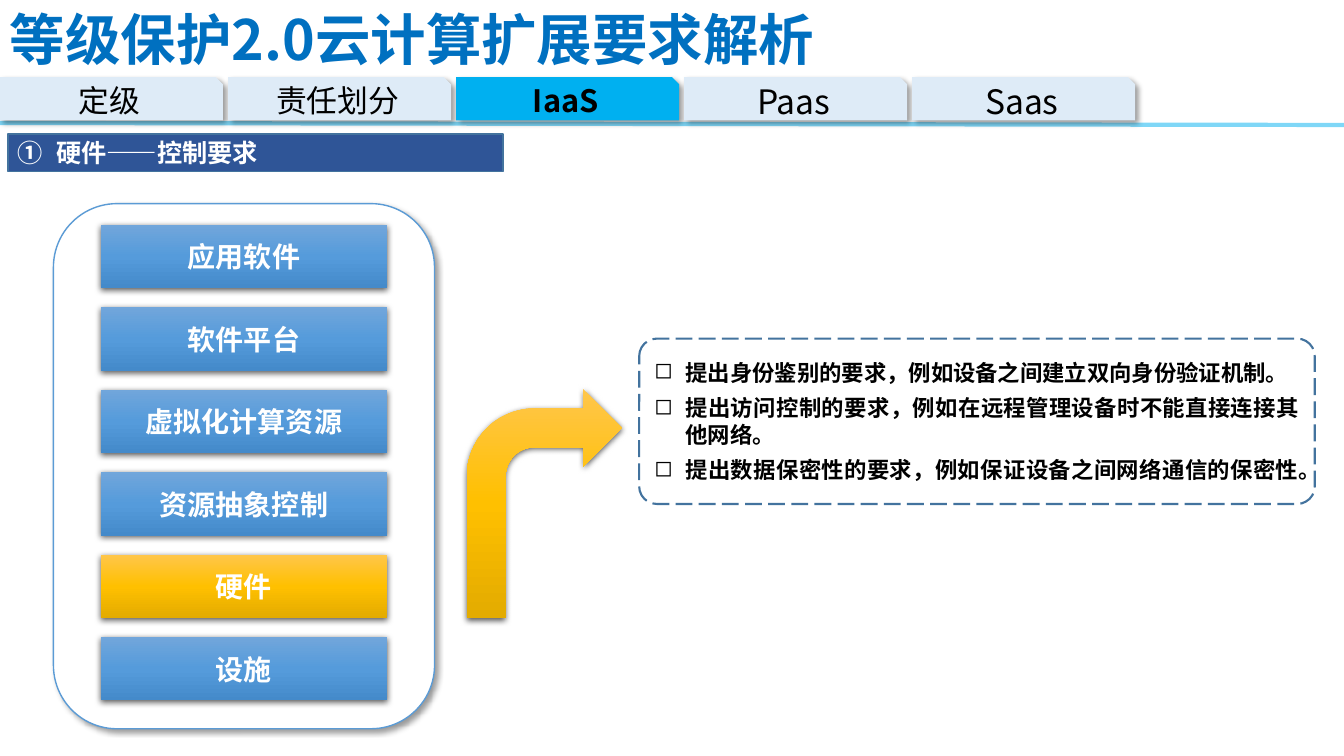
import pptx
import pptx.util
import pptx.dml.color
import pptx.enum.dml
import pptx.enum.shapes
import pptx.enum.text
import lxml.etree

Inch = pptx.util.Inches
Pt = pptx.util.Pt
RGB = pptx.dml.color.RGBColor
Kind = pptx.enum.shapes.MSO_SHAPE
Dash = pptx.enum.dml.MSO_LINE
Align = pptx.enum.text.PP_ALIGN
Anchor = pptx.enum.text.MSO_ANCHOR

WIDTH, HEIGHT = 13.33, 7.5
FONT = "Noto Sans CJK SC"
BLACK = RGB(0x00, 0x00, 0x00)
WHITE = RGB(0xFF, 0xFF, 0xFF)
TITLE = RGB(0x00, 0x70, 0xC0)
CYAN = RGB(0x00, 0xB0, 0xF0)
PALE = RGB(0xDE, 0xEB, 0xF7)
NAVY = RGB(0x2F, 0x55, 0x97)
EDGE = RGB(0x43, 0x73, 0x9E)
SKY = RGB(0x5B, 0x9B, 0xD5)
BLUES = [RGB(0x71, 0xA6, 0xDB), RGB(0x55, 0x9B, 0xDB), RGB(0x44, 0x8A, 0xCA)]
GOLDS = [RGB(0xFF, 0xC6, 0x4B), RGB(0xFF, 0xC0, 0x00), RGB(0xE3, 0xAB, 0x00)]
SOFT = (40, 4, 3, 45)
DEEP = (63, 4.5, 1.5, 90)

TABS = [("定级", 22), ("责任划分", 22), ("IaaS", 22), ("Paas", 24), ("Saas", 24)]
LAYERS = ["应用软件", "软件平台", "虚拟化计算资源", "资源抽象控制", "硬件", "设施"]
NEEDS = [
    "提出身份鉴别的要求，例如设备之间建立双向身份验证机制。",
    "提出访问控制的要求，例如在远程管理设备时不能直接连接其他网络。",
    "提出数据保密性的要求，例如保证设备之间网络通信的保密性。",
]


def node(parent, tag, **attrs):
    item = lxml.etree.SubElement(parent, pptx.oxml.ns.qn(tag))
    for key, value in attrs.items():
        item.set(key, str(value))
    return item


def tint(parent, color, alpha=100):
    item = node(parent, "a:srgbClr", val=color)
    if alpha < 100:
        node(item, "a:alpha", val=alpha * 1000)


def paint(shape, fill):
    if fill is None:
        shape.fill.background()
    elif isinstance(fill, list):
        shape.fill.gradient()
        shape.fill.gradient_angle = 270
        stops = shape._element.spPr.find(".//" + pptx.oxml.ns.qn("a:gsLst"))
        for old in list(stops):
            stops.remove(old)
        for i, color in enumerate(fill):
            tint(node(stops, "a:gs", pos=i * 50000), color)
    else:
        shape.fill.solid()
        shape.fill.fore_color.rgb = fill


def draw(slide, kind, box, fill=None, line=None, weight=1, shade=None):
    shape = slide.shapes.add_shape(kind, *map(Inch, box))
    paint(shape, fill)
    if line is None:
        shape.line.fill.background()
    else:
        shape.line.color.rgb = line
        shape.line.width = Pt(weight)
    shape.shadow.inherit = False
    if shade:
        alpha, blur, dist, angle = shade
        effect = shape._element.spPr.find(pptx.oxml.ns.qn("a:effectLst"))
        cast = node(effect, "a:outerShdw", blurRad=Pt(blur), dist=Pt(dist),
                    dir=angle * 60000, algn="ctr", rotWithShape=0)
        tint(cast, BLACK, alpha)
    return shape


def write(shape, lines, size, color, bold=True, align=Align.CENTER):
    frame = shape.text_frame
    frame.word_wrap = True
    frame.vertical_anchor = Anchor.MIDDLE
    frame.text = "\n".join(lines)
    for para in frame.paragraphs:
        para.alignment = align
        para.font.size = Pt(size)
        para.font.bold = bold
        para.font.color.rgb = color
        para.font.name = FONT
        node(para.font._element, "a:ea", typeface=FONT)
    return frame.paragraphs


def bullet(para, indent, tag, **attrs):
    props = para._p.get_or_add_pPr()
    props.set("marL", str(Inch(indent)))
    props.set("indent", str(-Inch(indent)))
    mark = node(props, tag, **attrs)
    para.font._element.addprevious(mark)


def rule(slide, box):
    x, y, w, h = box
    line = slide.shapes.add_connector(
        pptx.enum.shapes.MSO_CONNECTOR.STRAIGHT, *map(Inch, (x, y, x + w, y + h)))
    line.line.color.rgb = CYAN
    line.line.width = Pt(3)
    props = line._element.spPr
    node(props.find(".//" + pptx.oxml.ns.qn("a:srgbClr")), "a:alpha", val=50000)
    node(props, "a:effectLst")


def title(slide, box):
    text = slide.shapes.add_textbox(*map(Inch, box))
    write(text, ["等级保护2.0云计算扩展要求解析"], 39.6, TITLE, align=Align.JUSTIFY)


def tabs(slide, box, chosen):
    x, y, w, h = box
    gap = 0.05
    wide = (w - gap * (len(TABS) - 1)) / len(TABS)
    for i, (name, size) in enumerate(TABS):
        live = name == chosen
        tab = draw(slide, Kind.SNIP_1_RECTANGLE, (x + i * (wide + gap), y, wide, h),
                   CYAN if live else PALE, shade=SOFT)
        write(tab, [name], size, BLACK, live)


def header(slide, box):
    bar = draw(slide, Kind.RECTANGLE, box, NAVY, EDGE)
    para, = write(bar, ["硬件——控制要求"], 18, WHITE, align=Align.JUSTIFY)
    bullet(para, 0.38, "a:buAutoNum", type="circleNumDbPlain")


def needs(slide, box):
    panel = draw(slide, Kind.ROUNDED_RECTANGLE, box, line=EDGE, weight=1.5)
    panel.adjustments[0] = 0.106
    panel.line.dash_style = Dash.LONG_DASH
    for para in write(panel, NEEDS, 16, BLACK, align=Align.JUSTIFY):
        para.space_after = Pt(6)
        bullet(para, 0.31, "a:buChar", char="◻")


def stack(slide, box, chosen):
    x, y, w, h = box
    draw(slide, Kind.FLOWCHART_ALTERNATE_PROCESS, box, WHITE, SKY, shade=SOFT)
    wide, tall, top = w * 0.75, 0.63, 0.21
    step = (h - 2 * top - tall - 0.07) / (len(LAYERS) - 1)
    for i, name in enumerate(LAYERS):
        spot = (x + (w - wide) / 2, y + top + i * step, wide, tall)
        layer = draw(slide, Kind.RECTANGLE, spot,
                     GOLDS if name == chosen else BLUES, shade=DEEP)
        write(layer, [name], 20, WHITE)


def main():
    deck = pptx.Presentation()
    deck.slide_width, deck.slide_height = Inch(WIDTH), Inch(HEIGHT)
    slide = deck.slides.add_slide(deck.slide_layouts[6])
    rule(slide, (0, 1.22, WIDTH, 0.02))
    title(slide, (0, 0.01, 8.61, 0.75))
    tabs(slide, (0, 0.765, 11.26, 0.43), "IaaS")
    header(slide, (0.08, 1.33, 4.91, 0.37))
    needs(slide, (6.34, 3.36, 6.7, 1.64))
    stack(slide, (0.53, 2.02, 3.78, 5.21), "硬件")
    draw(slide, Kind.BENT_ARROW, (4.63, 3.86, 1.54, 2.27), GOLDS, shade=DEEP)
    deck.save("out.pptx")


if __name__ == "__main__":
    main()
